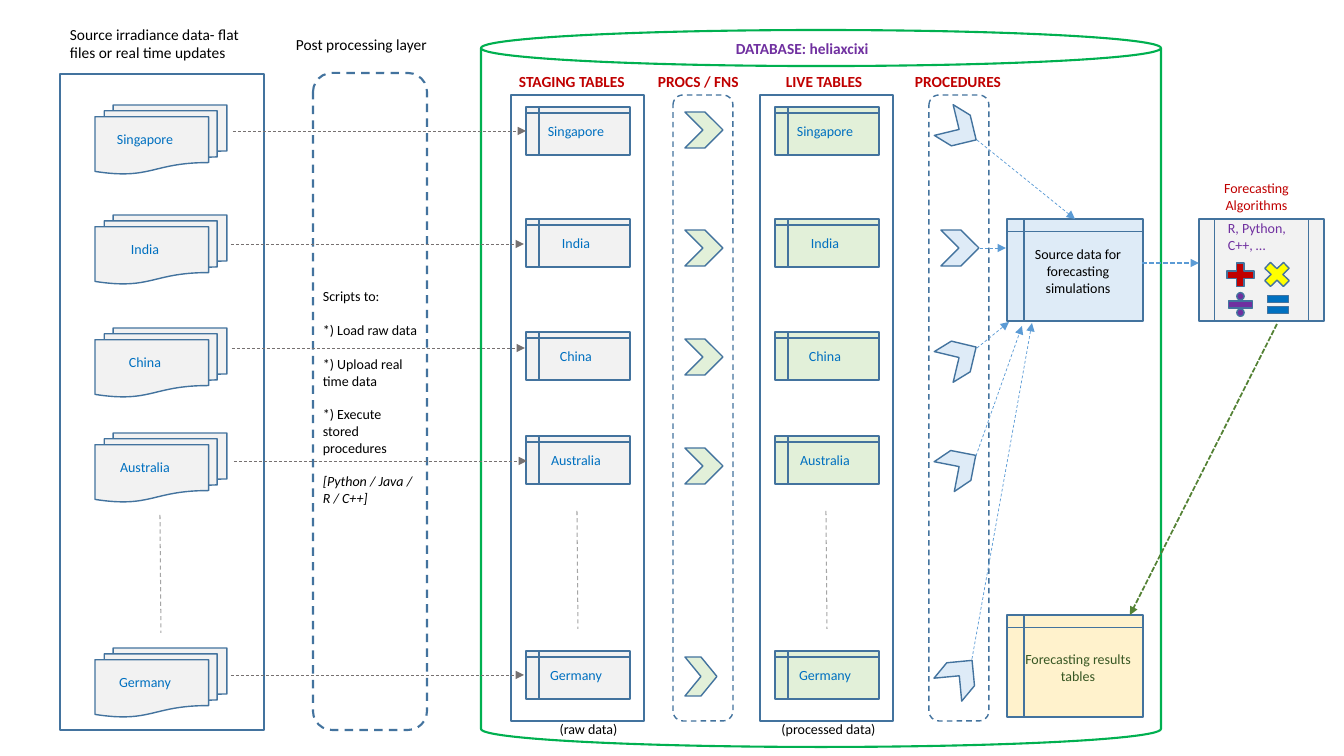
from lxml import etree
from pptx import Presentation
from pptx.dml.color import RGBColor
from pptx.enum.dml import MSO_LINE
from pptx.enum.shapes import MSO_CONNECTOR, MSO_SHAPE
from pptx.enum.text import PP_ALIGN
from pptx.oxml.ns import qn
from pptx.util import Pt

SCALE = 914400 / 100.8
STRAIGHT = MSO_CONNECTOR.STRAIGHT
DASH, SHORT_DASH = MSO_LINE.DASH, MSO_LINE.SQUARE_DOT
LEFT, CENTER = PP_ALIGN.LEFT, PP_ALIGN.CENTER
RECTANGLE, ROUNDED = MSO_SHAPE.RECTANGLE, MSO_SHAPE.ROUNDED_RECTANGLE
PROCESS, CAN, CHEVRON = MSO_SHAPE.FLOWCHART_PROCESS, MSO_SHAPE.CAN, MSO_SHAPE.CHEVRON
DOCUMENTS = MSO_SHAPE.FLOWCHART_MULTIDOCUMENT
STORAGE = MSO_SHAPE.FLOWCHART_INTERNAL_STORAGE
PREDEFINED = MSO_SHAPE.FLOWCHART_PREDEFINED_PROCESS
PLUS, MULTIPLY = MSO_SHAPE.MATH_PLUS, MSO_SHAPE.MATH_MULTIPLY
DIVIDE, EQUAL = MSO_SHAPE.MATH_DIVIDE, MSO_SHAPE.MATH_EQUAL

NAVY, BLUE, SKY, RED, PURPLE = "43739E", "0070C0", "5B9BD5", "C00000", "7030A0"
GRAY, GREEN, PALE_BLUE, BLACK = "F2F2F2", "E2F0D9", "DEEBF7", "000000"
COUNTRIES = ["Singapore", "India", "China", "Australia", "Germany"]
DOCUMENT_TOPS = [31, 141, 254, 359, 574]
TABLE_TOPS = [12, 124, 237, 341, 556]
CHEVRON_TOPS = [17, 135, 244, 353, 562]


def emu(pixels):
    return round(pixels * SCALE)


def rgb(color):
    return RGBColor.from_string(color)


def add_shape(slide, kind, box, fill=None, color=NAVY, weight=1, dash=None, rotation=0):
    shape = slide.shapes.add_shape(kind, *map(emu, box))
    shape.shadow.inherit = False
    shape.rotation = rotation
    if fill:
        shape.fill.solid()
        shape.fill.fore_color.rgb = rgb(fill)
    else:
        shape.fill.background()
    shape.line.color.rgb = rgb(color)
    shape.line.width = Pt(weight)
    if dash:
        shape.line.dash_style = dash
    return shape


def add_text(slide, box, paragraphs, color=BLACK, size=10, bold=False, align=LEFT,
             gap=0, italic_last=False):
    frame = slide.shapes.add_textbox(*map(emu, box)).text_frame
    frame.word_wrap = True
    for index, text in enumerate(paragraphs):
        paragraph = frame.paragraphs[0] if index == 0 else frame.add_paragraph()
        paragraph.alignment = align
        if index:
            paragraph.space_before = Pt(gap)
        run = paragraph.add_run()
        run.text = text
        run.font.name = "Calibri"
        run.font.size = Pt(size)
        run.font.bold = bold
        run.font.italic = italic_last and index == len(paragraphs) - 1
        run.font.color.rgb = rgb(color)


def add_line(slide, start, end, color, weight=0.5, dash=DASH, arrow=True):
    connector = slide.shapes.add_connector(STRAIGHT, *map(emu, start + end))
    connector.line.color.rgb = rgb(color)
    connector.line.width = Pt(weight)
    connector.line.dash_style = dash
    properties = connector._element.spPr
    if arrow:
        etree.SubElement(properties.find(qn("a:ln")), qn("a:tailEnd"), type="triangle")
    etree.SubElement(properties, qn("a:effectLst"))


def add_continuation(slide, x, y):
    add_line(slide, (x, y), (x + 1, y + 118), "A5A5A5", 0.75, arrow=False)


def add_sources(slide, box):
    left, top, width, height = box
    add_shape(slide, PROCESS, box, weight=1.5)
    add_text(slide, (left, top - 54, width, 47),
             ["Source irradiance data- flat files or real time updates"], size=11)
    for country, offset in zip(COUNTRIES, DOCUMENT_TOPS):
        add_shape(slide, DOCUMENTS, (left + 35, top + offset, 132, 69), GRAY)
        add_text(slide, (left + 35, top + offset + 21, 100, 27), [country], BLUE, align=CENTER)
    add_continuation(slide, left + 100, top + 441)


def add_post_processing(slide, box):
    left, top, width, height = box
    add_shape(slide, ROUNDED, box, weight=1.5, dash=DASH)
    add_text(slide, (left - 27, top - 43, 157, 29), ["Post processing layer"], size=11)
    add_text(slide, (left, top + 210, width + 1, 231),
             ["Scripts to:", "*) Load raw data", "*) Upload real time data",
              "*) Execute stored procedures", "[Python / Java / R / C++]"],
             gap=12, italic_last=True)


def add_database(slide, box):
    left, top, width, height = box
    can = add_shape(slide, CAN, box, color="00B050", weight=1.5)
    can.adjustments[0] = 0.053
    add_text(slide, (left + 245, top + 4, 157, 29), ["DATABASE: heliaxcixi"],
             PURPLE, 11, True)


def add_column_title(slide, box, title, title_width, shift):
    left, top, width, height = box
    add_text(slide, (left + shift, top - 28, title_width, 29), [title], RED, 11, True)


def add_tables(slide, box, title, title_width, shift, fill, caption, caption_shift):
    left, top, width, height = box
    add_shape(slide, RECTANGLE, box, weight=1.5)
    add_column_title(slide, box, title, title_width, shift)
    for country, offset in zip(COUNTRIES, TABLE_TOPS):
        add_shape(slide, STORAGE, (left + 15, top + offset, 104, 48), fill)
        add_text(slide, (left + 15, top + offset + 11, 100, 27), [country], BLUE, align=CENTER)
    add_continuation(slide, left + 66, top + 416)
    add_text(slide, (left + caption_shift, top + height - 5, 125, 27), [caption], align=CENTER)


def add_chevrons(slide, box, title, shift, fill, inset, rotations, last_size):
    left, top, width, height = box
    add_shape(slide, ROUNDED, box, dash=DASH)
    add_column_title(slide, box, title, 108, shift)
    sizes = [(38, 36)] * 4 + [last_size]
    for offset, rotation, size in zip(CHEVRON_TOPS, rotations, sizes):
        add_shape(slide, CHEVRON, (left + inset, top + offset, *size), fill, rotation=rotation)


def add_storage(slide, box, label, label_height, fill, color):
    left, top, width, height = box
    add_shape(slide, STORAGE, box, fill)
    add_text(slide, (left + 6, top + (height - label_height) // 2 + 2, 130, label_height),
             [label], color, align=CENTER)


def add_algorithms(slide, box):
    left, top, width, height = box
    add_shape(slide, PREDEFINED, box, GRAY)
    add_text(slide, (left - 4, top - 44, 123, 44), ["Forecasting Algorithms"], RED, align=CENTER)
    add_text(slide, (left + 19, top - 4, 87, 44), ["R, Python, C++, …"], PURPLE)
    for kind, x, y, sign_width, sign_height, fill in [
        (PLUS, 23, 40, 37, 32, RED),
        (MULTIPLY, 60, 38, 36, 35, "FFFF00"),
        (DIVIDE, 25, 70, 33, 31, PURPLE),
        (EQUAL, 65, 70, 28, 31, BLUE),
    ]:
        add_shape(slide, kind, (left + x, top + y, sign_width, sign_height), fill)


def add_flows(slide, box):
    left, top, width, height = box
    for x, y in [(233, 131), (231, 244), (232, 348), (234, 461), (231, 675)]:
        add_line(slide, (left + x, top + y), (left + x + 293, top + y), "767171")
    for start_x, start_y, end_x, end_y in [
        (977, 140, 1075, 219), (980, 248, 1006, 248), (977, 348, 1009, 322),
        (976, 456, 1022, 326), (972, 659, 1032, 323),
    ]:
        add_line(slide, (left + start_x, top + start_y), (left + end_x, top + end_y), SKY)
    add_line(slide, (left + 1142, top + 263), (left + 1199, top + 263), SKY, 1.25, SHORT_DASH)
    add_line(slide, (left + 1277, top + 324), (left + 1130, top + 615), "548235",
             1.25, SHORT_DASH)


presentation = Presentation()
presentation.slide_width, presentation.slide_height = emu(1344), emu(756)
slide = presentation.slides.add_slide(presentation.slide_layouts[6])
add_sources(slide, (60, 74, 204, 656))
add_post_processing(slide, (313, 73, 114, 657))
add_database(slide, (481, 30, 680, 717))
add_tables(slide, (511, 95, 133, 626), "STAGING TABLES", 135, -2, GRAY, "(raw data)", 15)
add_tables(slide, (760, 95, 133, 626), "LIVE TABLES", 107, 16, GREEN, "(processed data)", 6)
add_chevrons(slide, (673, 95, 60, 626), "PROCS / FNS", -25, GREEN, 12, [0] * 5, (32, 39))
add_chevrons(slide, (929, 95, 60, 626), "PROCEDURES", -24, PALE_BLUE, 12,
             [31.5, 0, 328.5, 326, 309.6], (38, 36))
add_storage(slide, (1007, 219, 136, 102), "Source data for forecasting simulations", 61,
            PALE_BLUE, BLACK)
add_storage(slide, (1007, 615, 136, 102), "Forecasting results tables", 44, "FFF2CC", "385723")
add_algorithms(slide, (1199, 219, 125, 102))
add_flows(slide, (0, 0, 1344, 756))
presentation.save("out.pptx")
